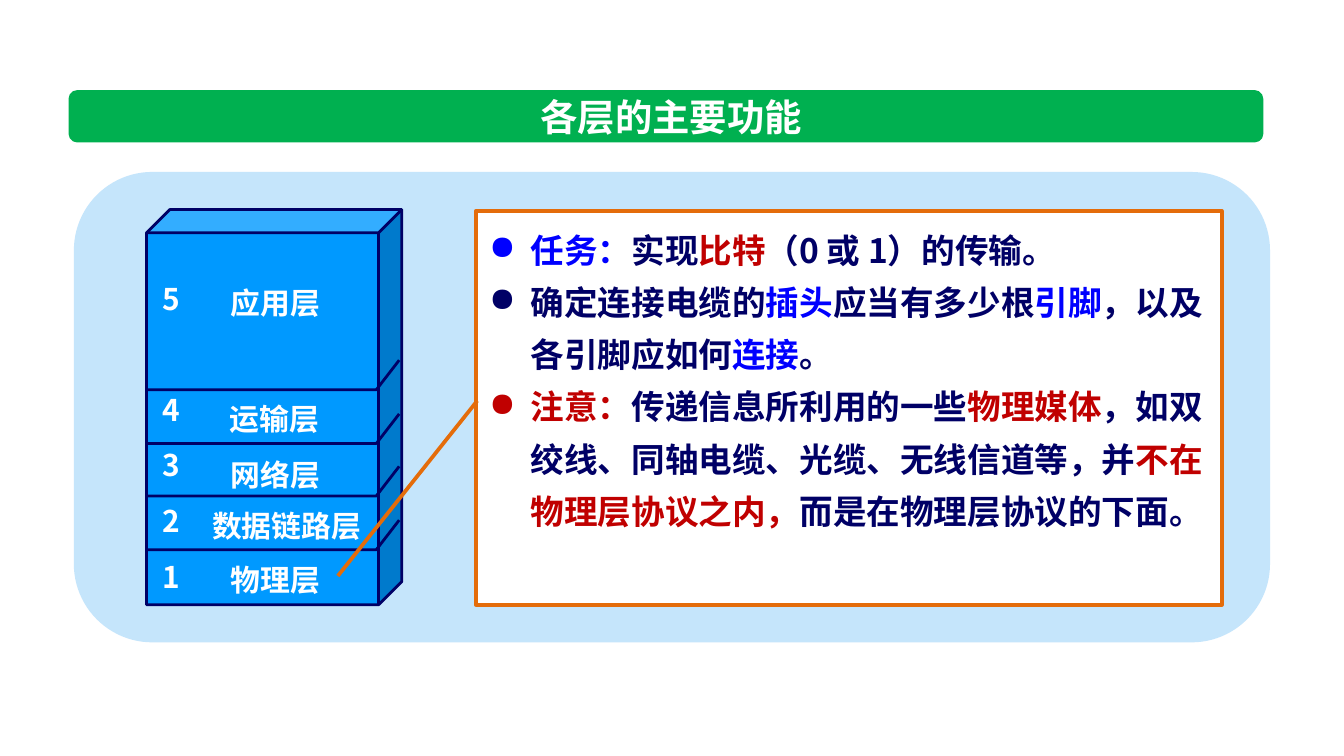
from dataclasses import dataclass

from lxml.etree import SubElement
from pptx import Presentation
from pptx.dml.color import RGBColor
from pptx.enum.shapes import MSO_SHAPE as Preset
from pptx.enum.text import MSO_ANCHOR as Anchor, PP_ALIGN as Align
from pptx.oxml.ns import qn
from pptx.util import Inches, Pt

FONT = "Noto Sans CJK SC"
WHITE, NAVY, BLUE, RED = "FFFFFF", "000066", "0000FF", "C00000"
GREEN, PALE_BLUE, SKY, ORANGE = "00B050", "C5E5FB", "0099FF", "E46C0A"
NUMBER_PITCH = Pt(29.75)


@dataclass
class Box:
    left: float
    top: float
    width: float
    height: float

    def lengths(self) -> list:
        return [Inches(v) for v in (self.left, self.top, self.width, self.height)]


@dataclass
class Layer:
    name: str
    box: Box


@dataclass
class Piece:
    text: str
    color: str


LAYERS = [
    Layer("运输层", Box(1.61, 2.93, 0.88, 0.37)),
    Layer("网络层", Box(1.62, 3.35, 0.88, 0.37)),
    Layer("应用层", Box(1.62, 2.07, 0.88, 0.37)),
    Layer("数据链路层", Box(1.48, 3.73, 1.32, 0.37)),
    Layer("物理层", Box(1.62, 4.13, 0.88, 0.37)),
]
DIVIDER_TOPS = [2.68, 3.08, 3.47, 3.87]
POINTS = [
    [Piece("任务：", BLUE), Piece("实现", NAVY), Piece("比特", RED),
     Piece("（0 或 1）的传输。", NAVY)],
    [Piece("确定连接电缆的", NAVY), Piece("插头", BLUE),
     Piece("应当有多少根", NAVY), Piece("引脚", BLUE),
     Piece("，以及各引脚应如何", NAVY), Piece("连接", BLUE), Piece("。", NAVY)],
    [Piece("注意：", RED), Piece("传递信息所利用的一些", NAVY),
     Piece("物理媒体", RED),
     Piece("，如双绞线、同轴电缆、光缆、无线信道等，并", NAVY),
     Piece("不在物理层协议之内，", RED), Piece("而是在物理层协议的下面。", NAVY)],
]


def rgb(color: str) -> RGBColor:
    return RGBColor.from_string(color)


def format_run(run, size: float, color: str) -> None:
    run.font.size = Pt(size)
    run.font.bold = True
    run.font.color.rgb = rgb(color)
    run.font.name = FONT
    SubElement(run._r.get_or_add_rPr(), qn("a:ea"), typeface=FONT)


def set_line(shape, color: str, width: float) -> None:
    shape.line.color.rgb = rgb(color)
    shape.line.width = Pt(width)


def add_preset(slide, preset, box: Box, fill: str, adjustments=()):
    shape = slide.shapes.add_shape(preset, *box.lengths())
    shape.shadow.inherit = False
    shape.fill.solid()
    shape.fill.fore_color.rgb = rgb(fill)
    shape.line.fill.background()
    for index, value in enumerate(adjustments):
        shape.adjustments[index] = value
    return shape


def add_label(slide, text: str, box: Box, size: float = 16):
    text_frame = slide.shapes.add_textbox(*box.lengths()).text_frame
    text_frame.word_wrap = False
    text_frame.text = text
    for paragraph in text_frame.paragraphs:
        format_run(paragraph.runs[0], size, WHITE)
    return text_frame


def add_numbers(slide) -> None:
    text_frame = add_label(slide, "5\n4\n3\n2\n1", Box(1.11, 1.57, 0.34, 3.12))
    text_frame.margin_top = Inches(0.37)
    for paragraph in text_frame.paragraphs:
        paragraph.line_spacing = NUMBER_PITCH
    text_frame.paragraphs[1].space_before = NUMBER_PITCH


def add_divider(slide, top: float) -> None:
    corners = [(2.97, top), (2.8, top + 0.22), (1.09, top + 0.22)]
    start, *rest = [(Inches(x), Inches(y)) for x, y in corners]
    builder = slide.shapes.build_freeform(*start)
    builder.add_line_segments(rest, close=False)
    shape = builder.convert_to_shape()
    shape.shadow.inherit = False
    shape.fill.background()
    set_line(shape, NAVY, 1.5)


def add_point(paragraph, pieces: list[Piece]) -> None:
    paragraph.alignment = Align.LEFT
    paragraph.line_spacing = Pt(28)
    properties = paragraph._p.get_or_add_pPr()
    properties.set("marL", str(Inches(0.31)))
    properties.set("indent", str(Inches(-0.31)))
    SubElement(properties, qn("a:buChar"), char="●")
    for piece in pieces:
        run = paragraph.add_run()
        run.text = piece.text
        format_run(run, 18, piece.color)


def add_callout(slide) -> None:
    callout = add_preset(slide, Preset.LINE_CALLOUT_1, Box(3.54, 1.57, 5.55, 2.93),
                         WHITE, (0.482, 0.002, 0.927, -0.185))
    set_line(callout, ORANGE, 2)
    text_frame = callout.text_frame
    text_frame.word_wrap = True
    text_frame.vertical_anchor = Anchor.TOP
    for index, pieces in enumerate(POINTS):
        paragraph = text_frame.add_paragraph() if index else text_frame.paragraphs[0]
        add_point(paragraph, pieces)


def main() -> None:
    presentation = Presentation()
    presentation.slide_width = Inches(10)
    presentation.slide_height = Inches(10 * 9 / 16)
    slide = presentation.slides.add_slide(presentation.slide_layouts[6])

    add_preset(slide, Preset.ROUNDED_RECTANGLE, Box(0.51, 0.67, 8.89, 0.39), GREEN)
    add_preset(slide, Preset.ROUNDED_RECTANGLE, Box(0.55, 1.28, 8.9, 3.5), PALE_BLUE)
    cube = add_preset(slide, Preset.CUBE, Box(1.09, 1.56, 1.9, 2.94), SKY, (0.091,))
    set_line(cube, NAVY, 1.5)

    for top in DIVIDER_TOPS:
        add_divider(slide, top)
    for layer in LAYERS:
        add_label(slide, layer.name, layer.box)
    add_numbers(slide)
    add_callout(slide)

    title = add_label(slide, "各层的主要功能", Box(1.37, 0.67, 7.25, 0.39), 20)
    title.word_wrap = True
    title.vertical_anchor = Anchor.MIDDLE
    title.paragraphs[0].alignment = Align.CENTER

    presentation.save("out.pptx")


if __name__ == "__main__":
    main()
